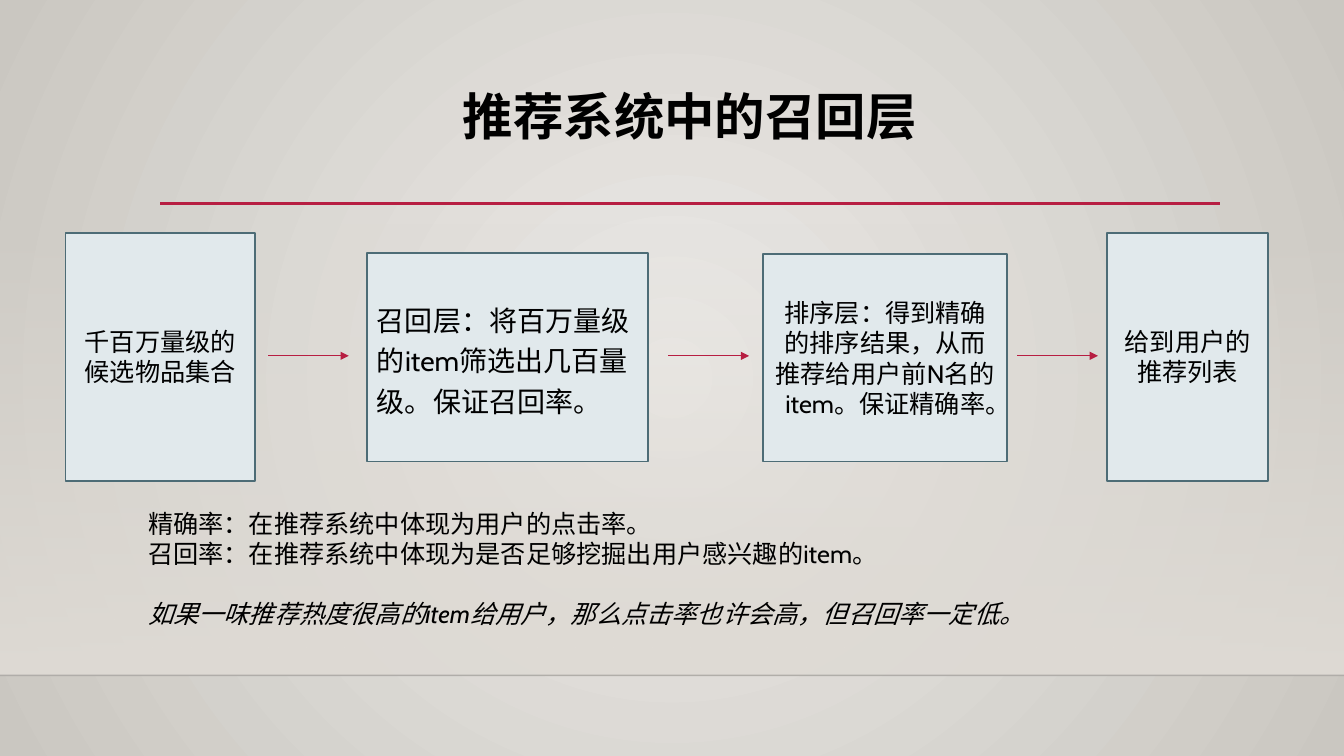
from pptx import Presentation
from pptx import util as u
from pptx.dml.color import RGBColor
from pptx.enum import shapes, text
from pptx.oxml import parse_xml
from pptx.oxml.ns import nsdecls, qn

COLORS = {"ink": "000000", "accent": "B71E42", "card": "E1E9EC", "edge": "4D6C76",
          "glow": "ECEAE7", "rim": "CAC7C1", "floor": "DFDBD5", "floor_line": "000001"}
FONT = "Cabin"
CENTER = text.PP_ALIGN.CENTER
LEFT = text.PP_ALIGN.LEFT
MIDDLE = text.MSO_ANCHOR.MIDDLE

TITLE = "推荐系统中的召回层"
STAGE = {"size": 18, "alignment": CENTER}
RECALL = {"size": 20, "alignment": LEFT, "line_spacing": 1.2, "space_before": u.Pt(10)}
STAGES = [
    ("千百万量级的候选物品集合", (0.65, 2.31, 1.88, 2.46), STAGE),
    ("召回层：将百万量级的item筛选出几百量级。保证召回率。", (3.64, 2.51, 2.79, 2.07), RECALL),
    ("排序层：得到精确的排序结果，从而推荐给用户前N名的item。保证精确率。", (7.57, 2.52, 2.42, 2.06), STAGE),
    ("给到用户的推荐列表", (10.98, 2.31, 1.6, 2.46), STAGE),
]
ARROW_STARTS = [2.66, 6.63, 10.09]
ARROW_LENGTH, ARROW_Y = 0.8, 3.53
NOTES = [
    ("精确率：在推荐系统中体现为用户的点击率。", {}),
    ("召回率：在推荐系统中体现为是否足够挖掘出用户感兴趣的item。", {}),
    ("如果一味推荐热度很高的item给用户，那么点击率也许会高，但召回率一定低。",
     {"italic": True, "space_before": u.Pt(21.6)}),
]


def rgb(name):
    return RGBColor.from_string(COLORS[name])


def inches(values):
    return [u.Inches(value) for value in values]


def set_alpha(color, percent):
    color.append(parse_xml(f'<a:alpha {nsdecls("a")} val="{percent * 1000}"/>'))


def set_gradient(fill, names):
    fill.gradient()
    for stop, name, position in zip(fill.gradient_stops, names, (0, 1)):
        stop.color.rgb = rgb(name)
        stop.position = position


def write(box, paragraphs, anchor=text.MSO_ANCHOR.TOP):
    frame = box.text_frame
    frame.word_wrap = True
    frame.vertical_anchor = anchor
    for index, (words, formats) in enumerate(paragraphs):
        para = frame.add_paragraph() if index else frame.paragraphs[0]
        span = para.add_run()
        span.text = words
        span.font.name = FONT
        span.font.color.rgb = rgb("ink")
        for key, value in formats.items():
            if key == "size":
                span.font.size = u.Pt(value)
            else:
                setattr(span.font if key in ("bold", "italic") else para, key, value)


def add_line(page, start, end, y, color, width, arrow=False):
    line = page.shapes.add_connector(shapes.MSO_CONNECTOR.STRAIGHT, *inches((start, y, end, y)))
    line.line.color.rgb = rgb(color)
    line.line.width = u.Pt(width)
    line.element.spPr.append(parse_xml(f'<a:effectLst {nsdecls("a")}/>'))
    if arrow:
        line.line._get_or_add_ln().append(parse_xml(f'<a:tailEnd {nsdecls("a")} type="triangle"/>'))
    return line


def add_rect(page, place):
    rect = page.shapes.add_shape(shapes.MSO_SHAPE.RECTANGLE, *inches(place))
    rect.shadow.inherit = False
    return rect


deck = Presentation()
deck.slide_width, deck.slide_height = inches((13.33, 7.5))
page = deck.slides.add_slide(deck.slide_layouts[6])

set_gradient(page.background.fill, ("glow", "rim"))
direction = next(page.element.iter(qn("a:lin")))
direction.getparent().replace(direction, parse_xml(
    f'<a:path {nsdecls("a")} path="circle">'
    '<a:fillToRect l="50000" t="50000" r="50000" b="50000"/></a:path>'))

floor = add_rect(page, (0, 2.21, 13.33, 4.49))
set_gradient(floor.fill, ("floor", "floor"))
floor.fill.gradient_angle = 270
floor.line.fill.background()
set_alpha(next(floor.element.spPr.iter(qn("a:srgbClr"))), 0)

horizon = add_line(page, 0, 13.33, 6.7, "floor_line", 1)
set_alpha(next(horizon.element.spPr.iter(qn("a:srgbClr"))), 20)
add_line(page, 1.59, 12.1, 2.02, "accent", 2.5)

title = page.shapes.add_textbox(*inches((1.59, 0.86, 10.5, 1.15)))
write(title, [(TITLE, {"size": 36, "bold": True, "alignment": CENTER, "line_spacing": 0.9})])

for words, place, formats in STAGES:
    card = add_rect(page, place)
    card.fill.solid()
    card.fill.fore_color.rgb = rgb("card")
    card.line.color.rgb = rgb("edge")
    card.line.width = u.Pt(1.25)
    write(card, [(words, formats)], MIDDLE)

for start in ARROW_STARTS:
    add_line(page, start, start + ARROW_LENGTH, ARROW_Y, "accent", 0.75, arrow=True)

notes = page.shapes.add_textbox(*inches((1.37, 4.99, 9.1, 1.31)))
write(notes, [(words, {"size": 18, **formats}) for words, formats in NOTES])

deck.save("out.pptx")
